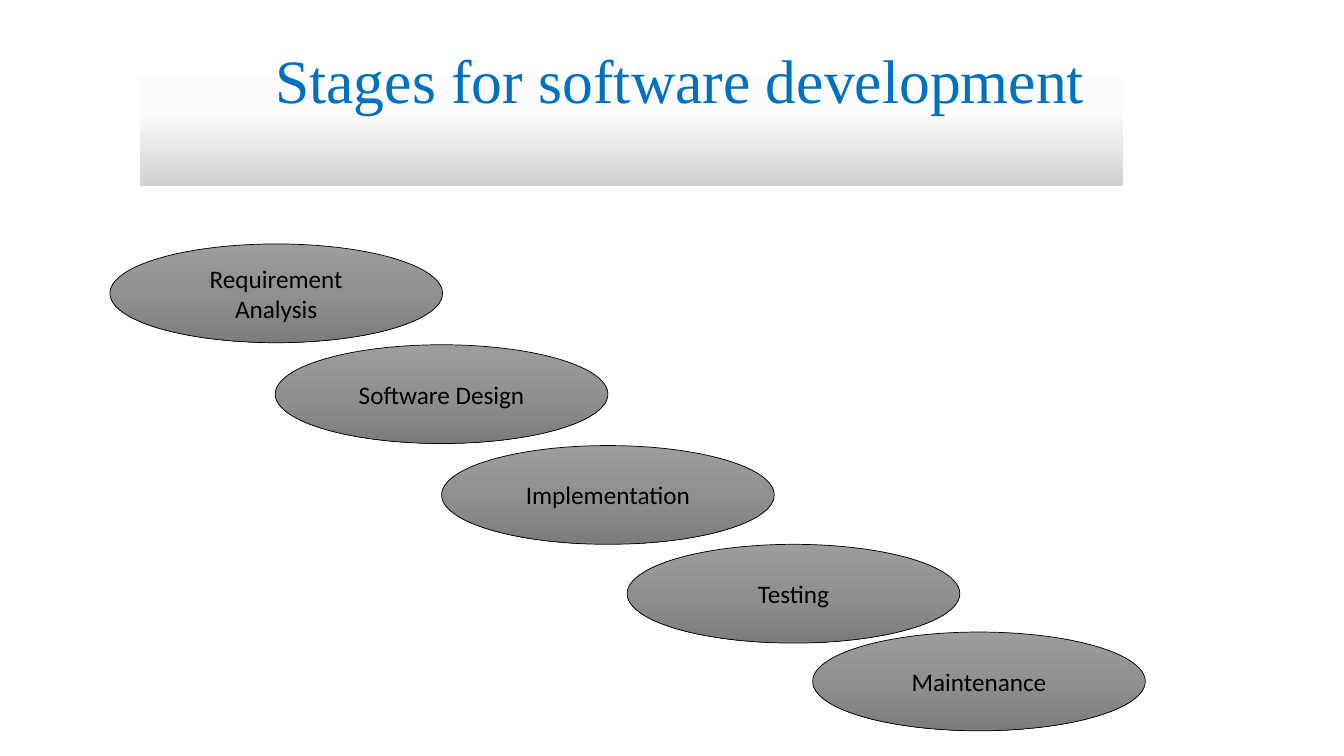
import copy

import pptx
import pptx.dml.color
import pptx.enum.shapes
import pptx.enum.text
import pptx.oxml.ns
import pptx.util

Inches = pptx.util.Inches
Pt = pptx.util.Pt
SHAPES = pptx.enum.shapes.MSO_SHAPE
ALIGN = pptx.enum.text.PP_ALIGN
ANCHOR = pptx.enum.text.MSO_ANCHOR


def rgb(color):
    return pptx.dml.color.RGBColor.from_string(color)


def add_gradient_shape(kind, box, colors, text, size, font, color):
    """Add a shape with a three-stop vertical gradient and one line of text."""
    s = slide.shapes.add_shape(kind, *[Inches(v) for v in box])
    s.shadow.inherit = False
    s.fill.gradient()
    s.fill.gradient_angle = 270
    stops = s._element.spPr.find(".//" + pptx.oxml.ns.qn("a:gsLst"))
    stops.insert(1, copy.deepcopy(stops[0]))
    for stop, position, stop_color in zip(s.fill.gradient_stops, (0, 0.5, 1), colors):
        stop.position = position
        stop.color.rgb = rgb(stop_color)
    s.text_frame.text = text
    s.text_frame.word_wrap = True
    r = s.text_frame.paragraphs[0].runs[0]
    r.font.size = Pt(size)
    r.font.name = font
    r.font.color.rgb = rgb(color)
    return s


prs = pptx.Presentation()
prs.slide_width = Inches(13.33)
prs.slide_height = Inches(7.5)
slide = prs.slides.add_slide(prs.slide_layouts[6])

# Title band, with the text indented and set near the top
title = add_gradient_shape(SHAPES.RECTANGLE, (1.39, 0.4, 9.75, 1.45),
                           ("FFFFFF", "FBFBFB", "D1D1D1"),
                           "Stages for software development",
                           44, "Times New Roman", "0070C0")
title.line.fill.background()
tf = title.text_frame
tf.vertical_anchor = ANCHOR.TOP
tf.margin_left = Inches(1.34)
tf.margin_top = Inches(0.1)
tf.paragraphs[0].alignment = ALIGN.LEFT
tf.paragraphs[0].line_spacing = 0.9

# Stages stepping down to the right
stages = [
    ("Requirement Analysis", 1.09, 2.42),
    ("Software Design", 2.73, 3.42),
    ("Implementation", 4.38, 4.42),
    ("Testing", 6.22, 5.4),
    ("Maintenance", 8.06, 6.27),
]
for name, left, top in stages:
    stage = add_gradient_shape(SHAPES.OVAL, (left, top, 3.3, 0.98),
                               ("9D9D9D", "909090", "7C7C7C"),
                               name, 18, "Calibri", "000000")
    stage.line.color.rgb = rgb("000000")
    stage.line.width = Pt(0.5)
    stage.text_frame.vertical_anchor = ANCHOR.MIDDLE
    stage.text_frame.paragraphs[0].alignment = ALIGN.CENTER

prs.save("out.pptx")
